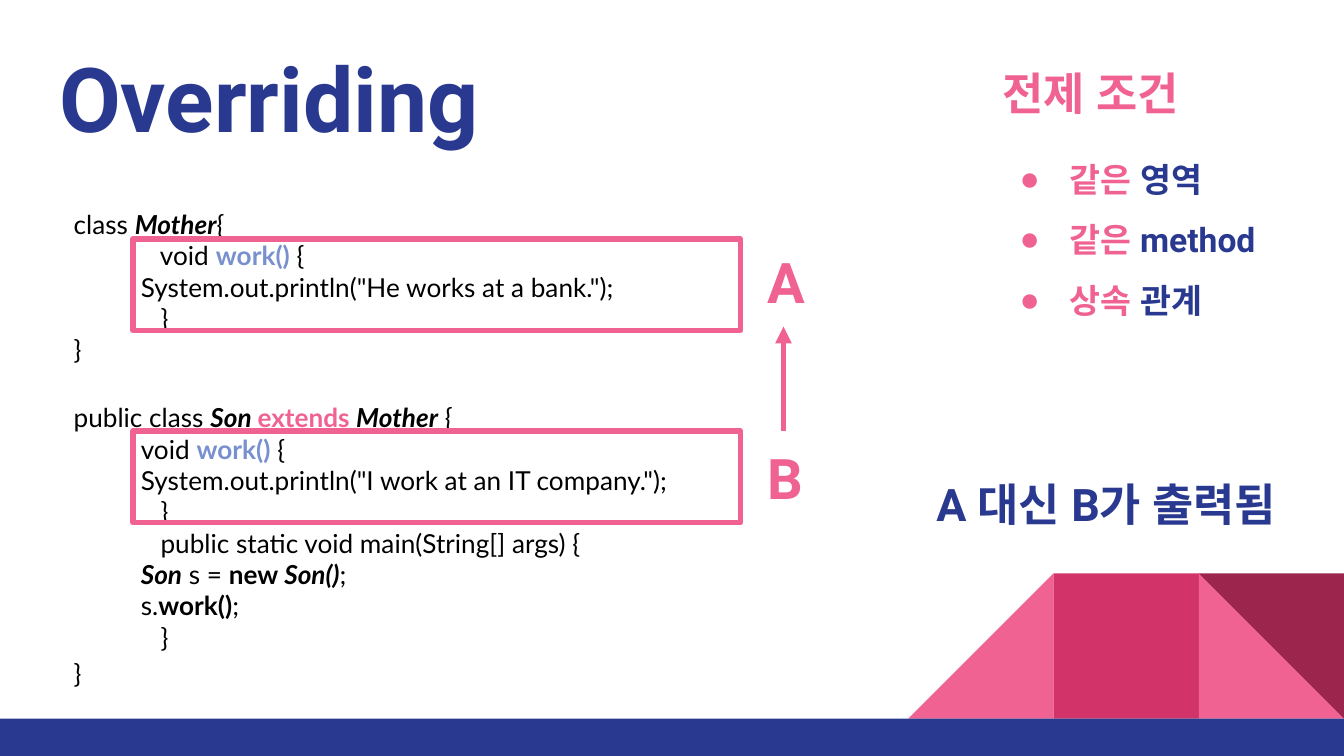
from dataclasses import dataclass

from lxml import etree
from pptx import Presentation
from pptx.dml.color import RGBColor
from pptx.enum.shapes import MSO_CONNECTOR, MSO_SHAPE
from pptx.enum.text import MSO_ANCHOR, MSO_AUTO_SIZE, PP_ALIGN
from pptx.oxml.ns import qn
from pptx.util import Pt

RECTANGLE, TRIANGLE = MSO_SHAPE.RECTANGLE, MSO_SHAPE.RIGHT_TRIANGLE
STRAIGHT = MSO_CONNECTOR.STRAIGHT
TOP, MIDDLE = MSO_ANCHOR.TOP, MSO_ANCHOR.MIDDLE
LEFT, CENTER = PP_ALIGN.LEFT, PP_ALIGN.CENTER
NO_AUTOFIT = MSO_AUTO_SIZE.NONE
SITE_TOP, SITE_BOTTOM = 0, 2


@dataclass(frozen=True)
class Theme:
    navy: str = "2A3990"
    pink: str = "F06292"
    rose: str = "D23369"
    wine: str = "9C254D"
    blue: str = "7890CD"
    black: str = "000000"
    display: str = "Roboto"
    code: str = "Lato"
    title_size: int = 48
    label_size: int = 30
    heading_size: int = 24
    list_size: int = 18
    code_size: int = 14
    inset: float = 7.2
    stroke: float = 3


THEME = Theme()


def display_style(size, color):
    return {"name": THEME.display, "size": Pt(size), "bold": True, "color": color}


def code_style(color=THEME.black, bold=False, italic=False):
    return {"name": THEME.code, "size": Pt(THEME.code_size),
            "bold": bold, "italic": italic, "color": color}


PLAIN = code_style()
STRONG = code_style(bold=True)
CLASS_NAME = code_style(bold=True, italic=True)
METHOD = code_style(THEME.blue, bold=True)
KEYWORD = code_style(THEME.pink, bold=True)


class SlideBuilder:
    def __init__(self, slide):
        self.slide = slide

    def shape(self, kind, box, fill=None, line=None, rotation=0):
        shape = self.slide.shapes.add_shape(kind, *map(Pt, box))
        shape.shadow.inherit = False
        shape.rotation = rotation
        if fill:
            shape.fill.solid()
            shape.fill.fore_color.rgb = RGBColor.from_string(fill)
        else:
            shape.fill.background()
        if line:
            shape.line.color.rgb = RGBColor.from_string(line)
            shape.line.width = Pt(THEME.stroke)
        else:
            shape.line.fill.background()
        return shape

    def text(self, box, paragraphs, anchor=TOP, holder=None):
        """Fill a placeholder, or a new text box, with (runs, format) pairs."""
        holder = holder or self.slide.shapes.add_textbox(*map(Pt, box))
        holder.left, holder.top, holder.width, holder.height = map(Pt, box)
        frame = holder.text_frame
        inset = Pt(THEME.inset)
        frame_format = {"word_wrap": True, "auto_size": NO_AUTOFIT, "vertical_anchor": anchor,
                        "margin_left": inset, "margin_right": inset,
                        "margin_top": inset, "margin_bottom": inset}
        for name, value in frame_format.items():
            setattr(frame, name, value)
        for index, (runs, options) in enumerate(paragraphs):
            paragraph = frame.add_paragraph() if index else frame.paragraphs[0]
            self.paragraph(paragraph, runs, **options)
        return holder

    def paragraph(self, paragraph, runs, indent=(0, 0), bullet=None, tab=None, **options):
        """Write runs; indent holds the left margin and the first-line offset."""
        properties = paragraph._p.get_or_add_pPr()
        for name, value in zip(("marL", "indent"), indent):
            properties.set(name, str(Pt(value)))
        if bullet:
            color = etree.SubElement(properties, qn("a:buClr"))
            etree.SubElement(color, qn("a:srgbClr"), val=bullet)
            etree.SubElement(properties, qn("a:buChar"), char="●")
        else:
            etree.SubElement(properties, qn("a:buNone"))
        if tab:
            stops = etree.SubElement(properties, qn("a:tabLst"))
            etree.SubElement(stops, qn("a:tab"), pos=str(Pt(tab)), algn="l")
        defaults = {"alignment": LEFT, "line_spacing": 1.0, "space_before": Pt(0)}
        for name, value in {**defaults, **options}.items():
            setattr(paragraph, name, value)
        for words, style in runs:
            self.run(paragraph, words, style)

    def run(self, paragraph, words, style):
        run = paragraph.add_run()
        run.text = words
        for name, value in style.items():
            if name == "color":
                run.font.color.rgb = RGBColor.from_string(value)
            else:
                setattr(run.font, name, value)
        etree.SubElement(run._r.get_or_add_rPr(), qn("a:ea"), typeface=style["name"])

    def arrow(self, start, end, color):
        """Point upwards from the top of one box to the bottom of another."""
        arrow = self.slide.shapes.add_connector(STRAIGHT, 0, 0, 0, 0)
        arrow.begin_connect(start, SITE_TOP)
        arrow.end_connect(end, SITE_BOTTOM)
        arrow.line.color.rgb = RGBColor.from_string(color)
        arrow.line.width = Pt(THEME.stroke)
        etree.SubElement(arrow.line._get_or_add_ln(), qn("a:tailEnd"), type="triangle")
        etree.SubElement(arrow._element.spPr, qn("a:effectLst"))


CODE = [
    ([("class ", PLAIN), ("Mother", CLASS_NAME), ("{", PLAIN)], {}),
    ([("             void ", PLAIN), ("work()", METHOD), (" {", PLAIN)], {}),
    ([("\tSystem.out.println(\"He works at a bank.\");", PLAIN)], {}),
    ([("             }", PLAIN)], {}),
    ([("}", PLAIN)], {}),
    ([("public class ", PLAIN), ("Son ", CLASS_NAME), ("extends ", KEYWORD),
      ("Mother", CLASS_NAME), (" {", PLAIN)], {"line_spacing": 1.15, "space_before": Pt(17)}),
    ([("void ", PLAIN), ("work()", METHOD), (" {", PLAIN)], {"indent": (0, 36)}),
    ([("\tSystem.out.println(\"I work at an IT company.\");", PLAIN)], {}),
    ([("             }", PLAIN)], {}),
    ([("             public static void main(String[] args) {", PLAIN)], {}),
    ([("\t", PLAIN), ("Son", CLASS_NAME), (" s = ", PLAIN), ("new ", STRONG),
      ("Son()", CLASS_NAME), (";", PLAIN)], {}),
    ([("\ts.", PLAIN), ("work()", STRONG), (";", PLAIN)], {}),
    ([("             }", PLAIN)], {}),
    ([("}", PLAIN)], {"line_spacing": 1.15}),
]
CONDITIONS = [("같은", " 영역"), ("같은", " method"), ("상속 ", "관계")]


def draw_footer(builder, width):
    side, ground = 77.8, 385
    blocks = [(3, TRIANGLE, THEME.pink, 270), (2, RECTANGLE, THEME.rose, 0),
              (1, TRIANGLE, THEME.pink, 0), (1, TRIANGLE, THEME.wine, 180)]
    for steps, kind, color, rotation in blocks:
        box = (width - steps * side, ground - side, side, side)
        builder.shape(kind, box, fill=color, rotation=rotation)
    builder.shape(RECTANGLE, (0, ground, width, 20), fill=THEME.navy)


def main():
    width, height = 720, 405
    deck = Presentation()
    deck.slide_width, deck.slide_height = Pt(width), Pt(height)
    slide = deck.slides.add_slide(deck.slide_layouts[1])
    title, body = slide.placeholders
    builder = SlideBuilder(slide)

    draw_footer(builder, width)
    builder.text((24.5, 23.8, 294, 56),
                 [([("Overriding", display_style(THEME.title_size, THEME.navy))], {})],
                 MIDDLE, title)

    heading = display_style(THEME.heading_size, THEME.pink)
    shared = display_style(THEME.list_size, THEME.pink)
    subject = display_style(THEME.list_size, THEME.navy)
    conditions = [([("전제 조건", heading)], {"line_spacing": 1.15})]
    for index, (relation, target) in enumerate(CONDITIONS):
        conditions.append(([(relation, shared), (target, subject)],
                           {"indent": (36, -27), "bullet": THEME.pink, "line_spacing": 1.5,
                            "space_before": Pt(0 if index else 10)}))
    builder.text((530, 23.8, 166, 160.5), conditions, holder=body)

    builder.text((32.4, 104.4, 371, 262),
                 [(runs, {"tab": 72, **options}) for runs, options in CODE])

    labels = {}
    label_style = display_style(THEME.label_size, THEME.pink)
    for letter, frame_top, label_top in [("A", 128, 126), ("B", 231, 231)]:
        builder.shape(RECTANGLE, (71.3, frame_top, 325.4, 49), line=THEME.pink)
        labels[letter] = builder.text((404, label_top, 31.5, 49),
                                      [([(letter, label_style)], {"alignment": CENTER})], MIDDLE)
    builder.arrow(labels["B"], labels["A"], THEME.pink)

    builder.text((494.6, 252.7, 211, 34.6),
                 [([("A 대신 B가 출력됨", display_style(THEME.heading_size, THEME.navy))], {})],
                 MIDDLE)
    deck.save("out.pptx")


if __name__ == "__main__":
    main()
